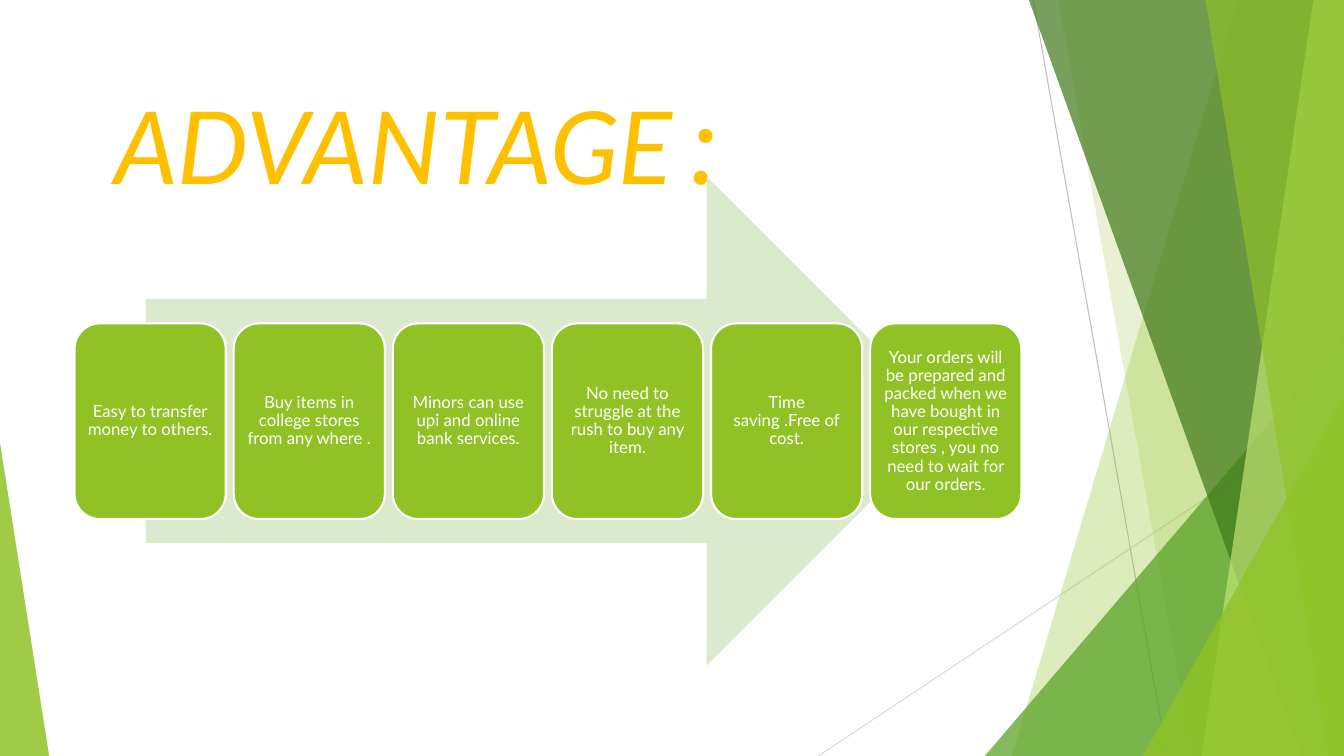
from dataclasses import dataclass
from lxml import etree
from pptx import Presentation
from pptx.dml.color import RGBColor
from pptx.enum.shapes import MSO_CONNECTOR, MSO_SHAPE
from pptx.enum.text import MSO_ANCHOR, MSO_AUTO_SIZE, PP_ALIGN
from pptx.oxml.ns import qn
from pptx.util import Cm, Pt

STRAIGHT = MSO_CONNECTOR.STRAIGHT
TRIANGLE = MSO_SHAPE.ISOSCELES_TRIANGLE
ARROW = MSO_SHAPE.RIGHT_ARROW
ROUNDED = MSO_SHAPE.ROUNDED_RECTANGLE
MIDDLE = MSO_ANCHOR.MIDDLE
NO_FIT = MSO_AUTO_SIZE.NONE
LEFT, CENTER = PP_ALIGN.LEFT, PP_ALIGN.CENTER


@dataclass(frozen=True)
class Theme:
    font: str = "Lato"
    lime: str = "90C226"
    green: str = "54A021"
    forest: str = "3F7819"
    pale: str = "C0E474"
    mist: str = "DBE9CD"
    gold: str = "FFC000"
    white: str = "FFFFFF"
    gray: str = "BFBFBF"
    light_gray: str = "D9D9D9"
    title: int = 72
    colon: int = 80
    gap: int = 54
    body: int = 12


T = Theme()
WIDTH, HEIGHT = 33.87, 19.05


def paint(sp, color, alpha=100):
    sp.shadow.inherit = False
    sp.fill.solid()
    sp.fill.fore_color.rgb = RGBColor.from_string(color)
    sp.line.fill.background()
    if alpha < 100:
        clr = sp.element.spPr.find(qn("a:solidFill"))[0]
        etree.SubElement(clr, qn("a:alpha")).set("val", str(alpha * 1000))


def add_run(p, text, size, color, italic=False):
    r = p.add_run()
    r.text = text
    r.font.name = T.font
    r.font.size = Pt(size)
    r.font.italic = italic
    r.font.color.rgb = RGBColor.from_string(color)


prs = Presentation()
prs.slide_width, prs.slide_height = Cm(WIDTH), Cm(HEIGHT)
s = prs.slides.add_slide(prs.slide_layouts[5])

lines = [
    (26.04, 0, 29.41, HEIGHT, T.gray),
    (WIDTH, 10.24, 20.62, HEIGHT, T.light_gray),
]
for x1, y1, x2, y2, color in lines:
    cx = s.shapes.add_connector(STRAIGHT, Cm(x1), Cm(y1), Cm(x2), Cm(y2))
    cx.line.color.rgb = RGBColor.from_string(color)
    cx.line.width = Pt(0.75)
    etree.SubElement(cx.element.spPr, qn("a:effectLst"))

facets = [
    ("band", 31.19, 25.5, T.lime, 30),
    ("band", 26.67, 30.05, T.lime, 20),
    ("corner", 9.05, 10.59, T.green, 72),
    ("band", 25.93, 32.79, T.forest, 70),
    ("band", 33.1, 30.28, T.pale, 70),
    ("band", 30.38, 33.48, T.lime, 65),
    ("corner", 5.07, 9.07, T.lime, 80),
    ("left corner", 1.24, 7.9, T.lime, 85),
]
for kind, a, b, color, alpha in facets:
    if kind == "band":
        fb = s.shapes.build_freeform(Cm(a), 0)
        corners = [(WIDTH, 0), (WIDTH, HEIGHT), (b, HEIGHT)]
        fb.add_line_segments([(Cm(x), Cm(y)) for x, y in corners])
        sp = fb.convert_to_shape()
    else:
        on_right = kind == "corner"
        x = WIDTH - a if on_right else 0
        sp = s.shapes.add_shape(TRIANGLE, Cm(x), Cm(HEIGHT - b), Cm(a), Cm(b))
        sp.adjustments[0] = 1 if on_right else 0
    paint(sp, color, alpha)

title = s.shapes.title
s.shapes.element.append(title.element)
title.left, title.top, title.width, title.height = Cm(1.88), Cm(1.7), Cm(23.88), Cm(3.66)
tf = title.text_frame
tf.auto_size = NO_FIT
tf.vertical_anchor = MIDDLE
tf.margin_left = Cm(1)
p = tf.paragraphs[0]
p.alignment = LEFT
add_run(p, "ADVANTAGE", T.title, T.gold, True)
add_run(p, " ", T.gap, T.lime, True)
add_run(p, ":", T.colon, T.gold, True)

arrow = s.shapes.add_shape(ARROW, Cm(3.68), Cm(4.45), Cm(20.29), Cm(12.32))
paint(arrow, T.mist)

advantages = [
    "Easy to transfer money to others.",
    "Buy items in college stores from any where .",
    "Minors can use upi and online bank services.",
    "No need to struggle at the rush to buy any item.",
    "Time saving .Free of cost.",
    "Your orders will be prepared and packed when we have bought in our "
    "respective stores , you no need to wait for our orders.",
]
for i, text in enumerate(advantages):
    sp = s.shapes.add_shape(ROUNDED, Cm(1.88 + 4.01 * i), Cm(8.15), Cm(3.81), Cm(4.93))
    paint(sp, T.lime)
    sp.line.color.rgb = RGBColor.from_string(T.white)
    sp.line.width = Pt(1.5)
    tf = sp.text_frame
    tf.word_wrap = True
    tf.vertical_anchor = MIDDLE
    tf.margin_left = tf.margin_right = tf.margin_top = tf.margin_bottom = Cm(0.14)
    p = tf.paragraphs[0]
    p.alignment = CENTER
    p.line_spacing = 0.9
    add_run(p, text, T.body, T.white)

prs.save("out.pptx")
